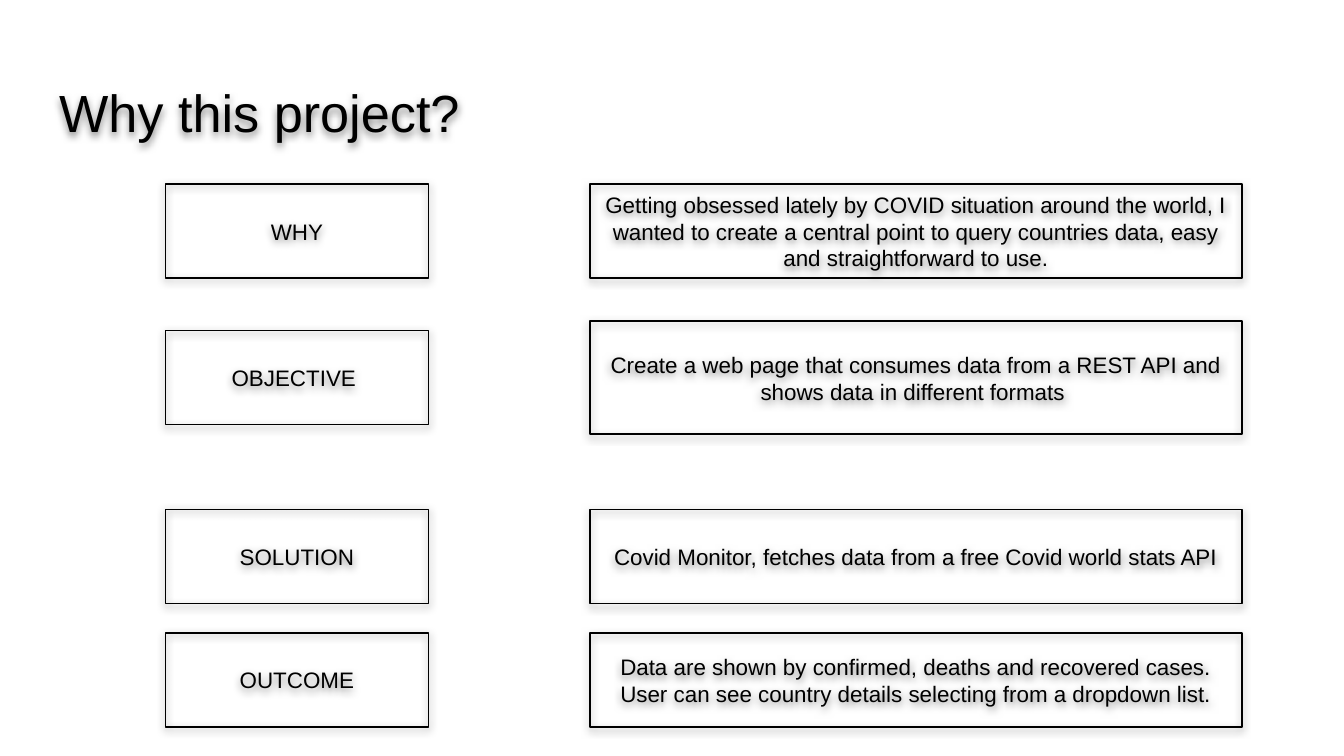
from dataclasses import dataclass

from lxml.etree import SubElement
from pptx import Presentation
from pptx.dml.color import RGBColor
from pptx.enum.shapes import MSO_SHAPE as Shape
from pptx.enum.text import MSO_ANCHOR as Anchor, PP_ALIGN as Align
from pptx.oxml.ns import qn
from pptx.util import Inches, Pt


@dataclass(frozen=True)
class Theme:
    font: str = "Arial"
    ink: RGBColor = RGBColor(0, 0, 0)
    paper: RGBColor = RGBColor(255, 255, 255)
    title_size: int = 28
    body_size: int = 12
    line_width: float = 0.75
    inset: float = 0.1


def write_text(frame, text, *, theme, size, align, spacing=1.0):
    frame.word_wrap = True
    frame.vertical_anchor = Anchor.MIDDLE
    frame.margin_left = frame.margin_right = Inches(theme.inset)
    frame.margin_top = frame.margin_bottom = Inches(theme.inset)
    para = frame.paragraphs[0]
    para.alignment = align
    para.line_spacing = spacing
    span = para.add_run()
    span.text = text
    span.font.name = theme.font
    span.font.size = Pt(size)
    span.font.color.rgb = theme.ink


def add_shadow(shape):
    """Soft black shadow falling straight down."""
    shape.shadow.inherit = False
    effects = shape.element.spPr.find(qn("a:effectLst"))
    shadow = SubElement(effects, qn("a:outerShdw"), blurRad=str(Pt(4.5)),
                        dist=str(Pt(1.5)), dir="5400000", algn="bl", rotWithShape="0")
    color = SubElement(shadow, qn("a:srgbClr"), val="000000")
    SubElement(color, qn("a:alpha"), val="50000")


class SlideBuilder:
    def __init__(self, page, theme):
        self.page = page
        self.theme = theme
        page.background.fill.solid()
        page.background.fill.fore_color.rgb = theme.paper

    def title(self, text, left, top, width, height):
        title = self.page.shapes.title
        title.left, title.top = Inches(left), Inches(top)
        title.width, title.height = Inches(width), Inches(height)
        write_text(title.text_frame, text, theme=self.theme,
                   size=self.theme.title_size, align=Align.LEFT, spacing=1.1)
        add_shadow(title)

    def box(self, text, left, middle, width, height):
        """Outlined box centred vertically on middle."""
        box = self.page.shapes.add_shape(
            Shape.RECTANGLE, Inches(left), Inches(middle - height / 2),
            Inches(width), Inches(height))
        box.fill.background()
        box.line.color.rgb = self.theme.ink
        box.line.width = Pt(self.theme.line_width)
        add_shadow(box)
        write_text(box.text_frame, text, theme=self.theme,
                   size=self.theme.body_size, align=Align.CENTER)


# Rows: label, description, vertical middle, description height
BOX_HEIGHT = 0.7
ROWS = [
    ("WHY", "Getting obsessed lately by COVID situation around the world, "
     "I wanted to create a central point to query countries data, easy and "
     "straightforward to use.", 1.72, BOX_HEIGHT),
    ("OBJECTIVE ", "Create a web page that consumes data from a REST API and "
     "shows data in different formats ", 2.81, 0.84),
    ("SOLUTION", "Covid Monitor, fetches data from a free Covid world stats API",
     4.14, BOX_HEIGHT),
    ("OUTCOME", "Data are shown by confirmed, deaths and recovered cases. "
     "User can see country details selecting from a dropdown list.",
     5.06, BOX_HEIGHT),
]


def main():
    deck = Presentation()
    # Widescreen page, 16:9
    deck.slide_width = Inches(10)
    deck.slide_height = Inches(10 * 9 / 16)
    page = deck.slides.add_slide(deck.slide_layouts[5])
    builder = SlideBuilder(page, Theme())

    # Heading
    builder.title("Why this project?", 0.34, 0.49, 9.32, 0.63)

    # Label and description pairs
    for label, description, middle, height in ROWS:
        builder.box(label, 1.23, middle, 1.96, BOX_HEIGHT)
        builder.box(description, 4.39, middle, 4.85, height)

    deck.save("out.pptx")


if __name__ == "__main__":
    main()
